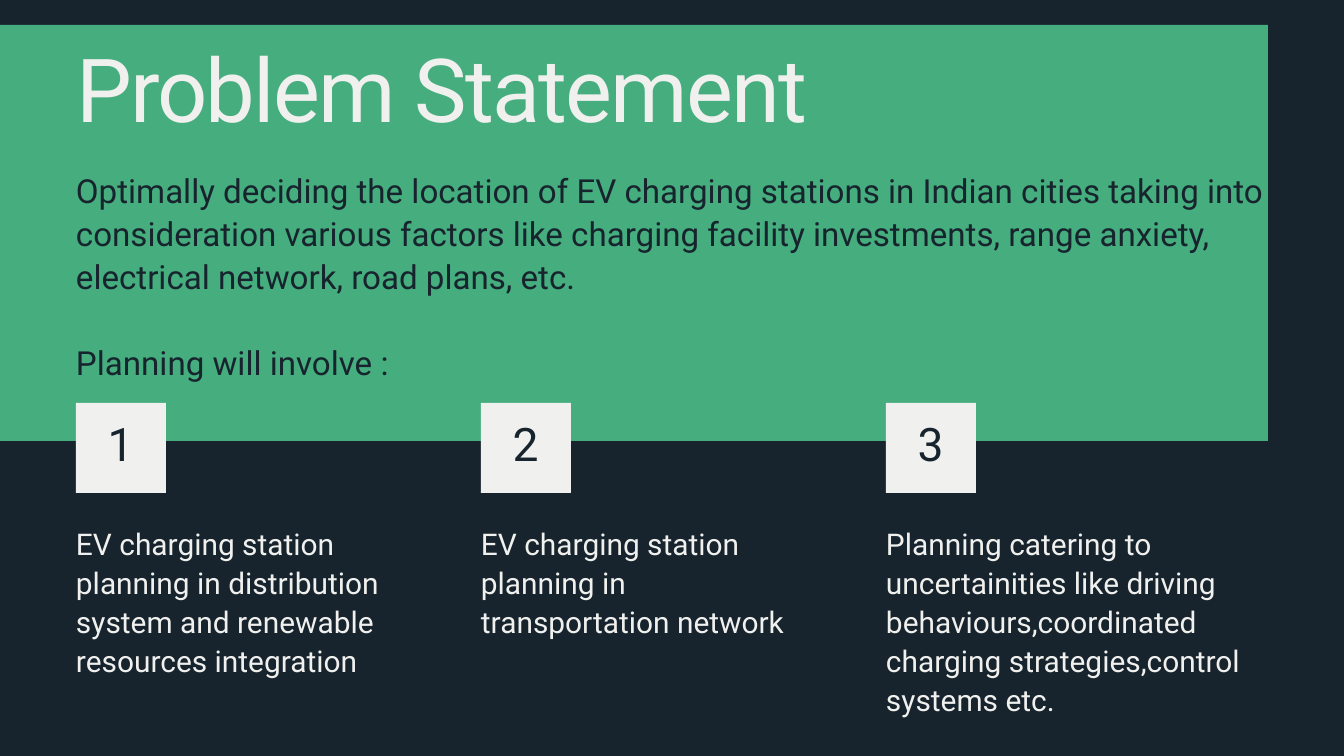
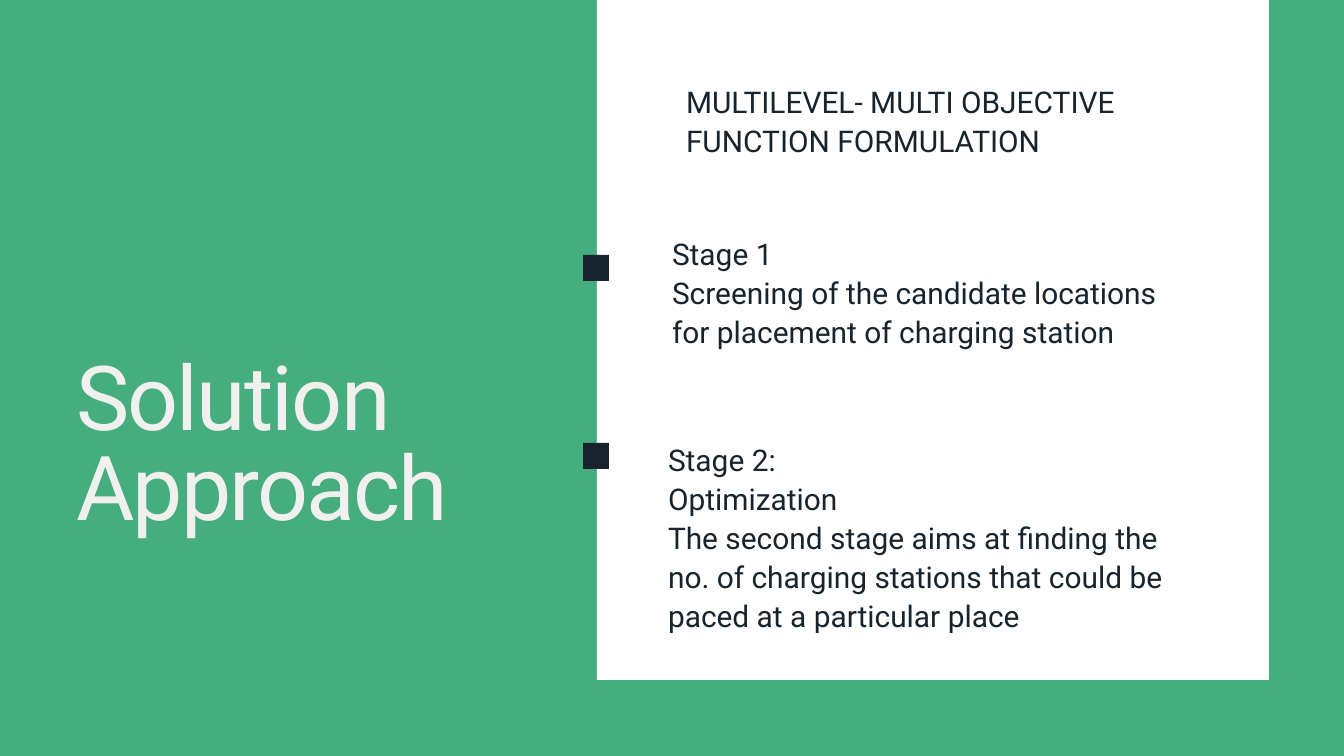
"""Builds two slides on planning electric vehicle charging stations."""
from pptx import Presentation
from pptx import util as u
from pptx.dml.color import RGBColor
from pptx.enum import shapes, text

PX = 13607
NAVY, GREEN, PALE, WHITE = "17242D", "45AD7E", "F0F0EE", "FFFFFF"
MARGIN = 76


def add_block(page, place, colour):
    """Add a plain filled rectangle."""
    block = page.shapes.add_shape(shapes.MSO_SHAPE.RECTANGLE, *[n * PX for n in place])
    block.shadow.inherit = False
    block.fill.solid()
    block.fill.fore_color.rgb = RGBColor.from_string(colour)
    block.line.fill.background()


def write(box, place, lines, size, leading, colour, align="LEFT", tracking=0, gap=0):
    """Place a box and fill it with one paragraph per line."""
    box.left, box.top, box.width, box.height = [n * PX for n in place]
    frame = box.text_frame
    frame.word_wrap = True
    frame.auto_size = text.MSO_AUTO_SIZE.NONE
    frame.vertical_anchor = text.MSO_ANCHOR.TOP
    frame.margin_left = frame.margin_top = frame.margin_right = frame.margin_bottom = 0
    frame.text = "\n".join(lines)
    for index, para in enumerate(frame.paragraphs):
        para.alignment = text.PP_ALIGN[align]
        para.line_spacing = u.Pt(leading)
        para.space_before = u.Pt(gap if index else 0)
        para.font.name = "Roboto"
        para.font.size = u.Pt(size)
        para.font.color.rgb = RGBColor.from_string(colour)
        if tracking:
            for span in para.runs:
                span.font.size = u.Pt(size)
                span.font._element.set("spc", str(tracking))


deck = Presentation()
deck.slide_width, deck.slide_height = 1344 * PX, 756 * PX
title_only = deck.slide_layouts[5]

slides = [
    (NAVY, (-11, 25, 1279, 416), GREEN, "Problem Statement", (MARGIN, 52, 1193, 96), 94.7),
    (GREEN, (597, 0, 672, 680), WHITE, "Solution Approach", (MARGIN, 359, 433, 187), 96),
]
pages = []
for background, panel, panel_colour, heading, place, size in slides:
    page = deck.slides.add_slide(title_only)
    page.background.fill.solid()
    page.background.fill.fore_color.rgb = RGBColor.from_string(background)
    add_block(page, panel, panel_colour)
    title = page.shapes.title
    title.element.getparent().append(title.element)
    write(title, place, [heading], size, size, PALE, tracking=-190)
    pages.append(page)
problem, solution = pages

statement = [
    "Optimally deciding the location of EV charging stations in Indian cities taking into "
    "consideration various factors like charging facility investments, range anxiety, "
    "electrical network, road plans, etc.",
    "Planning will involve :",
]
write(problem.shapes.add_textbox(0, 0, 0, 0), (MARGIN, 167, 1193, 214), statement,
      35.5, 46.1, NAVY, gap=46.1)

plans = [
    ("EV charging station planning in distribution system and renewable resources integration", 308, 155),
    ("EV charging station planning in transportation network", 308, 116),
    ("Planning catering to uncertainities like driving behaviours,coordinated charging "
     "strategies,control systems etc.", 382, 194),
]
for index, (plan, width, height) in enumerate(plans):
    left = MARGIN + 405 * index
    add_block(problem, (left, 403, 90, 90), PALE)
    write(problem.shapes.add_textbox(0, 0, 0, 0), (left + 14, 425, 61, 50), [str(index + 1)],
          49.5, 49.5, NAVY, align="CENTER", tracking=-100)
    write(problem.shapes.add_textbox(0, 0, 0, 0), (left, 523, width, height), [plan],
          32, 41.6, PALE)

for top in (255, 443):
    add_block(solution, (583, top, 26, 26), NAVY)

stages = [
    (686, 81, 77, ["MULTILEVEL- MULTI OBJECTIVE FUNCTION FORMULATION"]),
    (672, 233, 116, ["Stage 1",
                     "Screening of the candidate locations for placement of charging station"]),
    (668, 439, 194, ["Stage 2:", "Optimization",
                     "The second stage aims at finding the no. of charging stations that could be "
                     "paced at a particular place"]),
]
for left, top, height, lines in stages:
    write(solution.shapes.add_textbox(0, 0, 0, 0), (left, top, 529, height), lines,
          32, 41.6, NAVY)

deck.save("out.pptx")
